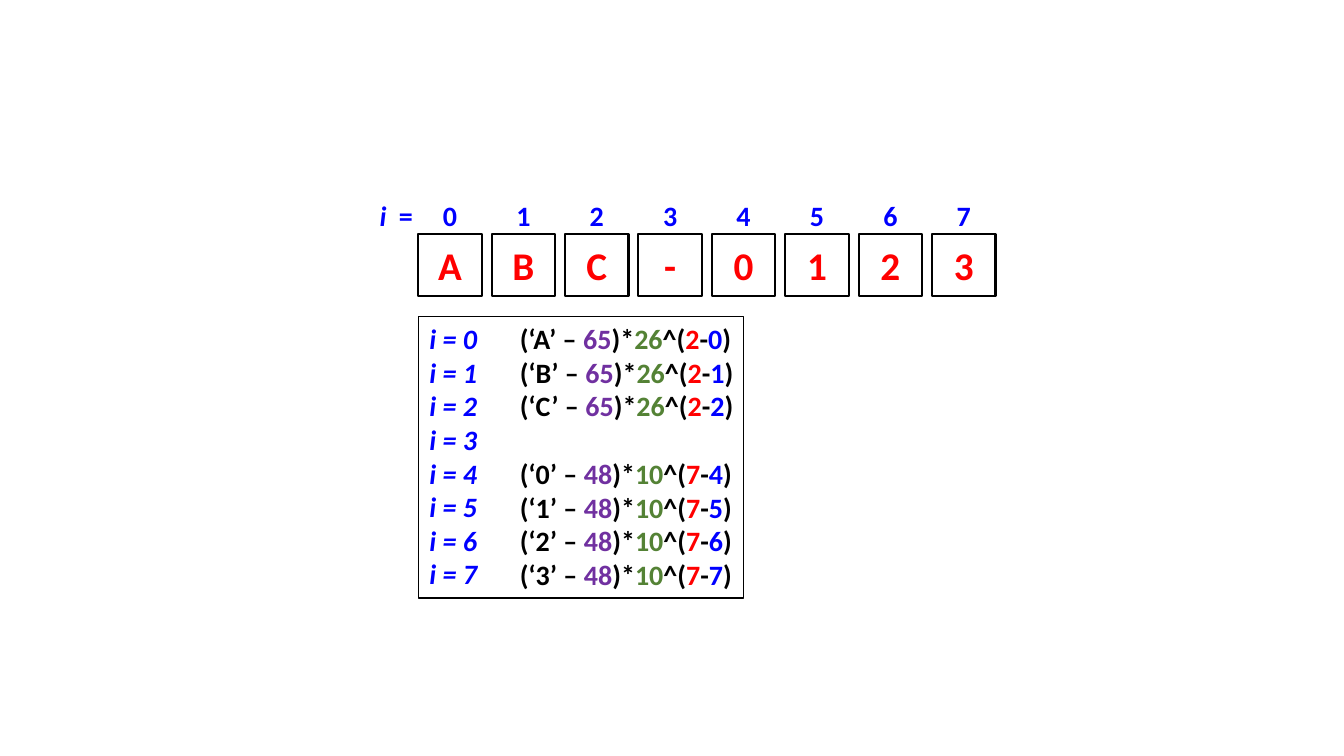
from lxml import etree
from pptx import Presentation
from pptx.dml.color import RGBColor
from pptx.enum.shapes import MSO_SHAPE
from pptx.enum.text import MSO_ANCHOR, MSO_AUTO_SIZE, PP_ALIGN
from pptx.oxml.ns import qn
from pptx.util import Cm, Pt

RECT = MSO_SHAPE.RECTANGLE
MIDDLE, TOP = MSO_ANCHOR.MIDDLE, MSO_ANCHOR.TOP
CENTER, LEFT = PP_ALIGN.CENTER, PP_ALIGN.LEFT
FIT = MSO_AUTO_SIZE.SHAPE_TO_FIT_TEXT

BLACK = RGBColor(0x00, 0x00, 0x00)
WHITE = RGBColor(0xFF, 0xFF, 0xFF)
RED = RGBColor(0xFF, 0x00, 0x00)
BLUE = RGBColor(0x00, 0x00, 0xFF)
PURPLE = RGBColor(0x70, 0x30, 0xA0)
GREEN = RGBColor(0x54, 0x82, 0x35)
FONT = "Calibri"

CHARS = "ABC-0123"
# character offset, base, index of the last character in the group
LETTER = ("65", "26", "2")
DIGIT = ("48", "10", "7")

# All lengths in centimetres
CELL_X, CELL_Y, CELL_W, CELL_H, PITCH = 10.54, 5.89, 1.6, 1.57, 1.85
PANEL_Y, PANEL_W, PANEL_H = 7.98, 8.2, 7.09
INDEX_X, INDEX_Y, INDEX_W, INDEX_H = 9.32, 4.88, 15.62, 1.12
INSET, EQUALS_X = 0.25, 10.23
LINE = Pt(24.4)


def write(shape, rows, size=20, color=BLUE, italic=False, align=LEFT, anchor=TOP):
    """Fill a shape with rows, each a list of (text, format changes) runs."""
    frame = shape.text_frame
    frame.vertical_anchor = anchor
    for n, row in enumerate(rows):
        para = frame.add_paragraph() if n else frame.paragraphs[0]
        para.alignment = align
        for text, change in row:
            run = para.add_run()
            run.text = text
            font = run.font
            font.name, font.size, font.bold = FONT, Pt(size), True
            font.italic = change.get("italic", italic)
            font.color.rgb = change.get("color", color)
    return frame


def box(x, y, w, h, line, fill=None):
    shape = slide.shapes.add_shape(RECT, Cm(x), Cm(y), Cm(w), Cm(h))
    shape.shadow.inherit = False
    shape.line.color.rgb = BLACK
    shape.line.width = Pt(line)
    if fill is None:
        shape.fill.background()
    else:
        shape.fill.solid()
        shape.fill.fore_color.rgb = fill
    return shape


def label(x, y, w, h, wrap=False):
    shape = slide.shapes.add_textbox(Cm(x), Cm(y), Cm(w), Cm(h))
    shape.text_frame.word_wrap = wrap
    shape.text_frame.auto_size = FIT
    return shape


def set_tabs(para, stops):
    """Add centred tab stops, measured from the text edge."""
    tabs = etree.SubElement(para._p.get_or_add_pPr(), qn("a:tabLst"))
    for stop in stops:
        etree.SubElement(tabs, qn("a:tab"), pos=str(Cm(stop)), algn="ctr")


def formula(i, char):
    offset, base, last = LETTER if char.isalpha() else DIGIT
    parts = [(f"(‘{char}’ – ", BLACK), (offset, PURPLE), (")*", BLACK),
             (base, GREEN), ("^(", BLACK), (last, RED), ("-", BLACK),
             (str(i), BLUE), (")", BLACK)]
    return [(text, {"color": color}) for text, color in parts]


deck = Presentation()
deck.slide_width, deck.slide_height = Cm(33.87), Cm(19.05)
slide = deck.slides.add_slide(deck.slide_layouts[6])

mids = []
for i, char in enumerate(CHARS):
    x = CELL_X + i * PITCH
    mids.append(x + CELL_W / 2)
    cell = box(x, CELL_Y, CELL_W, CELL_H, 1.5, WHITE)
    write(cell, [[(char, {})]], size=28, color=RED, align=CENTER, anchor=MIDDLE)

heads = "".join(f"\t{i}" for i in range(len(CHARS)))
index = label(INDEX_X, INDEX_Y, INDEX_W, INDEX_H, wrap=True)
frame = write(index, [[("i", {"italic": True}), ("\t=" + heads, {})]])
set_tabs(frame.paragraphs[0], [x - INDEX_X - INSET for x in [EQUALS_X] + mids])

terms = [formula(i, char) for i, char in enumerate(CHARS) if char != "-"]
frame = write(label(12.85, PANEL_Y, 5.89, PANEL_H), terms)
frame.paragraphs[CHARS.index("-")].space_before = LINE

names = [[(f"i = {i}", {})] for i in range(len(CHARS))]
write(label(10.57, PANEL_Y, 1.73, PANEL_H), names, italic=True)
box(CELL_X, PANEL_Y, PANEL_W, PANEL_H, 1)

deck.save("out.pptx")
